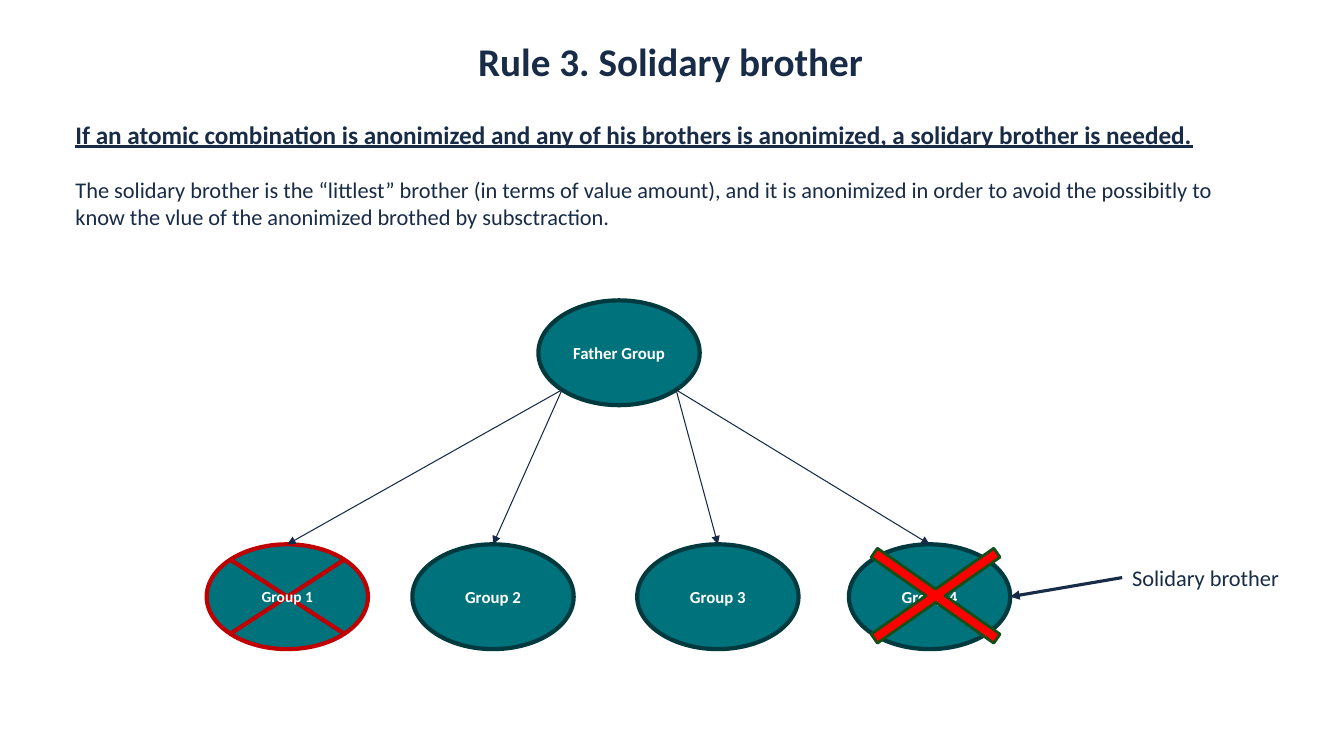
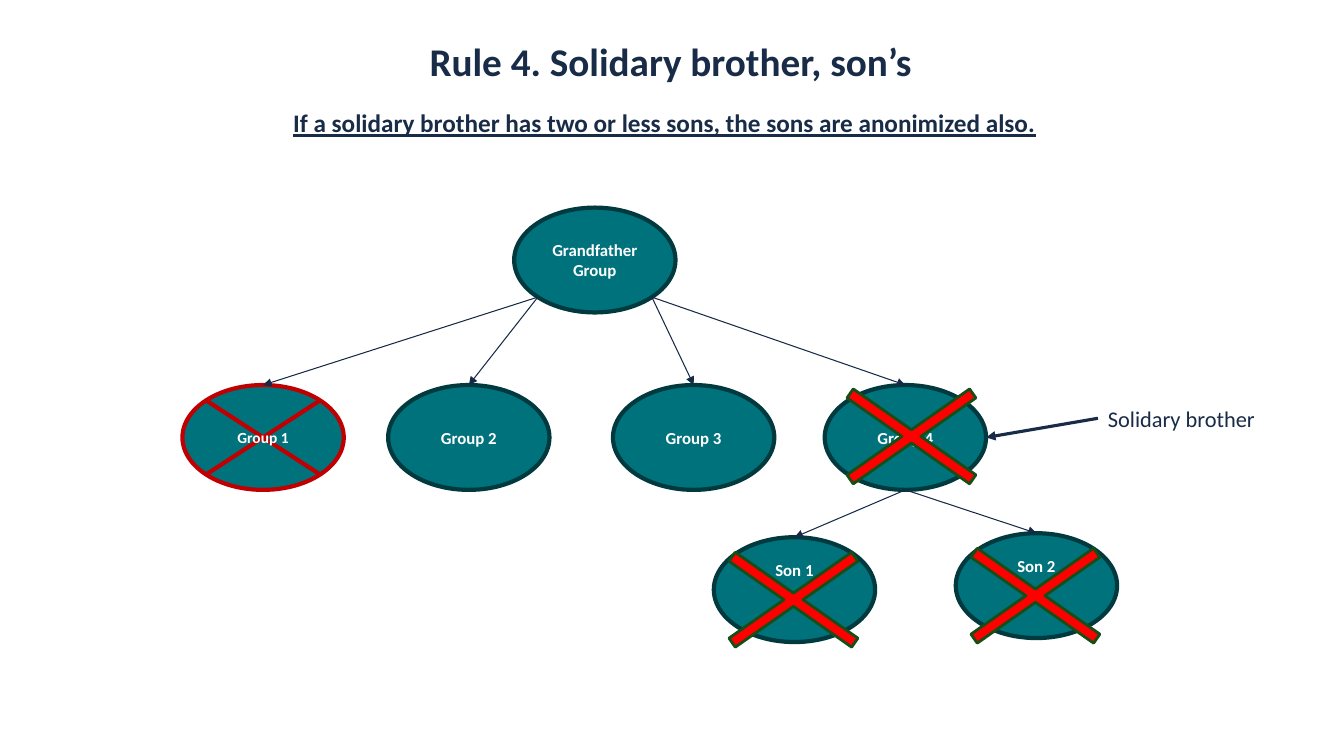
from dataclasses import dataclass
from math import sqrt

from lxml import etree
from pptx import Presentation
from pptx.dml.color import RGBColor
from pptx.enum.shapes import MSO_CONNECTOR, MSO_SHAPE
from pptx.enum.text import MSO_ANCHOR, MSO_AUTO_SIZE, PP_ALIGN
from pptx.oxml.ns import qn
from pptx.util import Inches, Pt

ELLIPSE = MSO_SHAPE.OVAL
CROSSED_ELLIPSE = MSO_SHAPE.FLOWCHART_SUMMING_JUNCTION
MULTIPLY = MSO_SHAPE.MATH_MULTIPLY
STRAIGHT = MSO_CONNECTOR.STRAIGHT
CENTER, LEFT = PP_ALIGN.CENTER, PP_ALIGN.LEFT
MIDDLE = MSO_ANCHOR.MIDDLE
FIT_TEXT = MSO_AUTO_SIZE.SHAPE_TO_FIT_TEXT

FONT = "Calibri"
NAVY, ARROW_NAVY, WHITE = "182B47", "162A47", "FFFFFF"
TEAL, DARK_TEAL = "00727C", "00393E"
DARK_RED, RED, GREEN = "C00000", "FF0000", "154E16"

NODE_W, NODE_H = 1.6, 1.04
CROSS_W, CROSS_H = 2.34, 1.64
DIAGONAL = sqrt(2) / 4  # offset of an ellipse's 45° point, as a share of its size
FATHER_OFFSET = 3.29
GROUP_OFFSETS = (0, 2.04, 4.27, 6.37)
CALLOUT_OFFSET = 9.08


@dataclass(frozen=True)
class Node:
    name: str
    left: float
    top: float
    outline: str = DARK_TEAL
    geometry: int = ELLIPSE
    size: float = 12
    bottom_inset: float = 0.05

    @property
    def center(self) -> float:
        return self.left + NODE_W / 2

    @property
    def bottom(self) -> tuple[float, float]:
        return self.center, self.top + NODE_H

    @property
    def right(self) -> tuple[float, float]:
        return self.left + NODE_W, self.top + NODE_H / 2

    def lower_point(self, side: int) -> tuple[float, float]:
        """Return the lower 45° point, left for side -1 and right for side 1."""
        return (self.center + side * NODE_W * DIAGONAL,
                self.top + NODE_H * (0.5 + DIAGONAL))


def rgb(value: str) -> RGBColor:
    return RGBColor.from_string(value)


def format_paragraph(paragraph, size: float, color: str = NAVY, bold: bool = False,
                     underline: bool = False, align=LEFT) -> None:
    paragraph.alignment = align
    for run in paragraph.runs:
        font = run.font
        font.name, font.size, font.bold = FONT, Pt(size), bold
        font.underline = underline
        font.color.rgb = rgb(color)


def style_shape(shape, fill: str, outline: str, width: float) -> None:
    shape.shadow.inherit = False
    shape.fill.solid()
    shape.fill.fore_color.rgb = rgb(fill)
    shape.line.color.rgb = rgb(outline)
    shape.line.width = Pt(width)


def add_titled_slide(prs, title: str):
    slide = prs.slides.add_slide(prs.slide_layouts[5])
    heading = slide.shapes.title
    heading.left, heading.top = Inches(0.65), Inches(0.21)
    heading.width, heading.height = Inches(12), Inches(0.79)
    frame = heading.text_frame
    frame.text = title
    frame.vertical_anchor = MIDDLE
    format_paragraph(frame.paragraphs[0], 28, bold=True, align=CENTER)
    return slide


def add_text(slide, text: str, left: float, top: float, width: float, height: float,
             wrap: bool = True):
    frame = slide.shapes.add_textbox(Inches(left), Inches(top),
                                     Inches(width), Inches(height)).text_frame
    frame.word_wrap = wrap
    frame.auto_size = FIT_TEXT
    frame.text = text
    return frame


def add_rule(slide, rule: str, left: float, top: float, width: float, height: float):
    frame = add_text(slide, rule, left, top, width, height)
    format_paragraph(frame.paragraphs[0], 18, bold=True, underline=True)
    return frame


def add_node(slide, node: Node):
    ellipse = slide.shapes.add_shape(node.geometry, Inches(node.left), Inches(node.top),
                                     Inches(NODE_W), Inches(NODE_H))
    style_shape(ellipse, TEAL, node.outline, 3)
    frame = ellipse.text_frame
    frame.word_wrap = True
    frame.text = node.name
    frame.vertical_anchor = MIDDLE
    frame.margin_bottom = Inches(node.bottom_inset)
    format_paragraph(frame.paragraphs[0], node.size, WHITE, bold=True, align=CENTER)
    return ellipse


def add_arrow(slide, start: tuple[float, float], end: tuple[float, float],
              color: str = ARROW_NAVY, width: float = 0.75):
    arrow = slide.shapes.add_connector(STRAIGHT, *map(Inches, start + end))
    arrow.line.color.rgb = rgb(color)
    arrow.line.width = Pt(width)
    etree.SubElement(arrow.line._get_or_add_ln(), qn("a:tailEnd"), type="triangle")
    etree.SubElement(arrow._element.spPr, qn("a:effectLst"))
    return arrow


def add_child(slide, child: Node, start: tuple[float, float]) -> None:
    """Draw a node and the arrow that reaches its top."""
    ellipse = add_node(slide, child)
    arrow = add_arrow(slide, start, (child.center, child.top))
    arrow.end_connect(ellipse, 0)


def add_cross(slide, node: Node, dx: float, dy: float) -> None:
    cross = slide.shapes.add_shape(MULTIPLY, Inches(node.left + dx), Inches(node.top + dy),
                                   Inches(CROSS_W), Inches(CROSS_H))
    cross.adjustments[0] = 0.066
    style_shape(cross, RED, GREEN, 2)


def add_family(slide, father_name: str, left: float, father_top: float,
               group_top: float) -> Node:
    """Draw the father, four groups and the callout; return the solidary brother."""
    father = Node(father_name, left + FATHER_OFFSET, father_top)
    anonymized, *brothers = [(f"Group {number}", left + offset, group_top)
                             for number, offset in enumerate(GROUP_OFFSETS, 1)]
    groups = [Node(*anonymized, DARK_RED, CROSSED_ELLIPSE, 11),
              *(Node(*brother) for brother in brothers)]
    add_node(slide, father)
    for group in groups:
        side = -1 if group.center < father.center else 1
        add_child(slide, group, father.lower_point(side))

    solidary = groups[-1]
    callout_left = left + CALLOUT_OFFSET
    callout = add_text(slide, "Solidary brother", callout_left, group_top + 0.15,
                       1.68, 0.37, wrap=False)
    format_paragraph(callout.paragraphs[0], 16)
    add_arrow(slide, (callout_left, group_top + 0.33), solidary.right, NAVY, 2.25)
    add_cross(slide, solidary, -0.31, -0.31)
    return solidary


def build_solidary_brother(prs) -> None:
    slide = add_titled_slide(prs, "Rule 3. Solidary brother")
    body = add_rule(slide, "If an atomic combination is anonimized and any of his brothers "
                    "is anonimized, a solidary brother is needed.", 0.65, 1.13, 12, 1.21)
    explanation = body.add_paragraph()
    explanation.text = (
        "The solidary brother is the “littlest” brother (in terms of value amount), and it is "
        "anonimized in order to avoid the possibitly to know the vlue of the anonimized "
        "brothed by subsctraction.")
    explanation.space_before = Pt(19.5)
    format_paragraph(explanation, 16)
    add_family(slide, "Father Group", 2.05, 2.98, 5.4)


def build_brothers_sons(prs) -> None:
    slide = add_titled_slide(prs, "Rule 4. Solidary brother, son’s")
    add_rule(slide, "If a solidary brother has two or less sons, the sons are anonimized also.",
             2.81, 1.02, 9.48, 0.4)
    solidary = add_family(slide, "Grandfather Group", 1.81, 2.06, 3.82)
    sons = (Node("Son 1", 7.08, 5.33, bottom_inset=0.45),
            Node("Son 2", 9.48, 5.29, bottom_inset=0.45))
    for son in sons:
        add_child(slide, son, solidary.bottom)
        add_cross(slide, son, -0.38, -0.2)


def main() -> None:
    prs = Presentation()
    prs.slide_width, prs.slide_height = Inches(13.33), Inches(7.5)
    build_solidary_brother(prs)
    build_brothers_sons(prs)
    prs.save("out.pptx")


if __name__ == "__main__":
    main()
